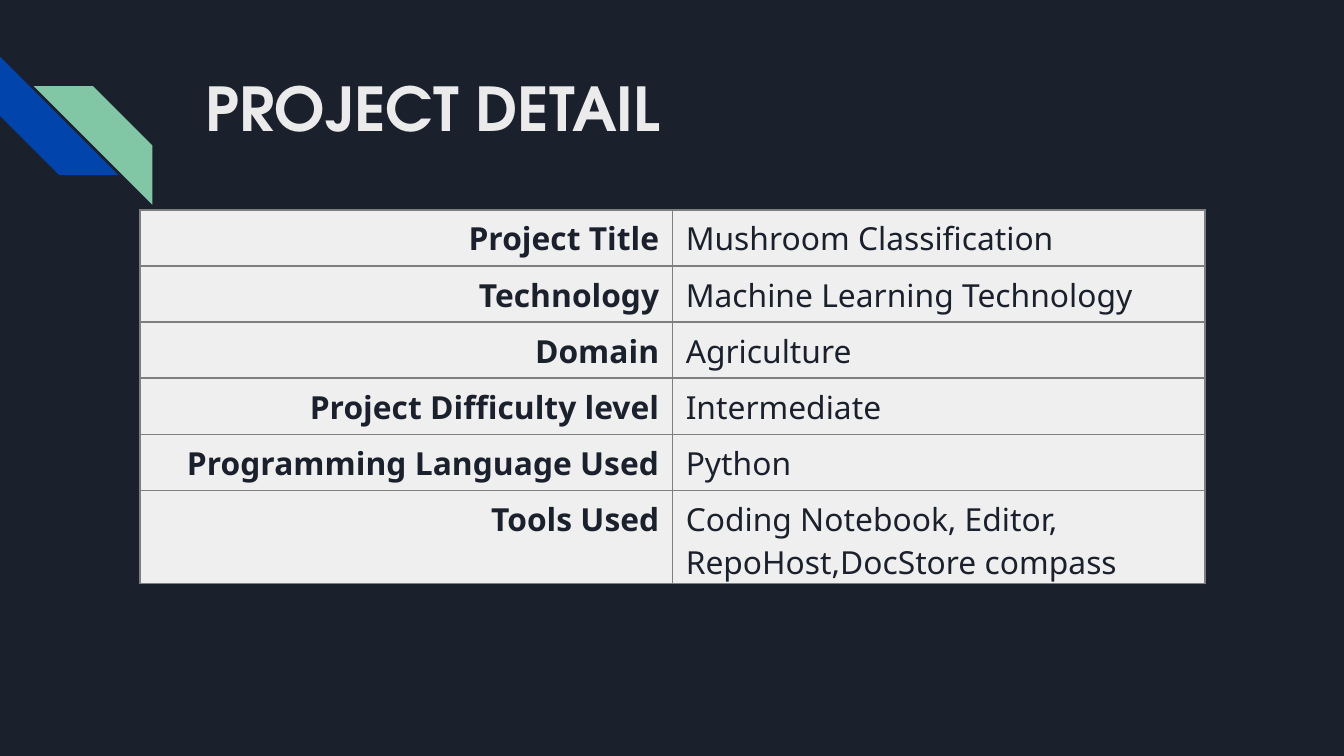
import pptx
import pptx.dml.color
import pptx.enum.shapes
import pptx.enum.text
import pptx.oxml
import pptx.oxml.ns
import pptx.util

Cm = pptx.util.Cm
Pt = pptx.util.Pt
RGBColor = pptx.dml.color.RGBColor
Align = pptx.enum.text.PP_ALIGN

NIGHT = RGBColor(0x1B, 0x21, 0x2C)
BLUE = RGBColor(0x01, 0x45, 0xAC)
GREEN = RGBColor(0x82, 0xC7, 0xA5)
TITLE_GREY = RGBColor(0xEB, 0xEB, 0xEB)
CELL_GREY = RGBColor(0xEF, 0xEF, 0xEF)
BORDER_GREY = RGBColor(0x7E, 0x7E, 0x7E)

DETAILS = [
    ("Project Title", "Mushroom Classification"),
    ("Technology", "Machine Learning Technology"),
    ("Domain", "Agriculture"),
    ("Project Difficulty level", "Intermediate"),
    ("Programming Language Used", "Python"),
    ("Tools Used", "Coding Notebook, Editor, RepoHost,DocStore compass"),
]


class PageBuilder:
    title_font = "TeX Gyre Adventor"
    body_font = "Noto Sans"
    stripe_size = Cm(2.24)
    column_width = Cm(10.06)
    row_height = Cm(1.06)
    two_line_height = Cm(1.76)
    cell_gap = Cm(0.25)

    def __init__(self, deck):
        self.page = deck.slides.add_slide(deck.slide_layouts[6])
        self.page.background.fill.solid()
        self.page.background.fill.fore_color.rgb = NIGHT

    def style_text(self, para, font, size, color, bold):
        for span in para.runs:
            span.font.name = font
            span.font.size = Pt(size)
            span.font.color.rgb = color
            span.font.bold = bold

    def stripe(self, left, top, rotation, color):
        shape = self.page.shapes.add_shape(
            pptx.enum.shapes.MSO_SHAPE.DIAGONAL_STRIPE,
            left, top, self.stripe_size, self.stripe_size)
        shape.rotation = rotation
        shape.shadow.inherit = False
        shape.fill.solid()
        shape.fill.fore_color.rgb = color
        shape.line.fill.background()

    def title(self, text, left, top, width, height):
        box = self.page.shapes.add_textbox(left, top, width, height)
        frame = box.text_frame
        frame.word_wrap = True
        frame.margin_left = frame.margin_right = Cm(0.28)
        frame.margin_top = frame.margin_bottom = Cm(0.25)
        frame.text = text
        self.style_text(frame.paragraphs[0], self.title_font, 32.4, TITLE_GREY, True)

    def cell_borders(self, cell):
        properties = cell._tc.get_or_add_tcPr()
        namespace = pptx.oxml.ns.nsdecls("a")
        for position, side in enumerate("LRTB"):
            properties.insert(position, pptx.oxml.parse_xml(
                f'<a:ln{side} {namespace} w="{Pt(1)}"><a:solidFill>'
                f'<a:srgbClr val="{BORDER_GREY}"/></a:solidFill></a:ln{side}>'))

    def fill_cell(self, cell, text, is_label):
        cell.fill.solid()
        cell.fill.fore_color.rgb = CELL_GREY
        cell.margin_left = cell.margin_right = self.cell_gap
        cell.margin_top = Cm(0.13)
        cell.margin_bottom = 0
        cell.text_frame.text = text
        para = cell.text_frame.paragraphs[0]
        para.alignment = Align.RIGHT if is_label else Align.LEFT
        self.style_text(para, self.body_font, 17, NIGHT, is_label)
        self.cell_borders(cell)

    def table(self, rows, left, top):
        table = self.page.shapes.add_table(
            len(rows), 2, left, top, 2 * self.column_width,
            len(rows) * self.row_height).table
        table.first_row = table.horz_banding = False
        for column in table.columns:
            column.width = self.column_width
        for row, texts in zip(table.rows, rows):
            row.height = self.row_height
            for index, (cell, text) in enumerate(zip(row.cells, texts)):
                self.fill_cell(cell, text, index == 0)
        table.rows[len(rows) - 1].height = self.two_line_height


def main():
    deck = pptx.Presentation()
    deck.slide_width = Cm(25.4)
    deck.slide_height = Cm(14.29)
    builder = PageBuilder(deck)
    builder.stripe(Cm(0), Cm(1.07), 270, BLUE)
    builder.stripe(Cm(0.64), Cm(1.63), 90, GREEN)
    builder.title("PROJECT DETAIL", Cm(3.61), Cm(1.09), Cm(19.56), Cm(2.54))
    builder.table(DETAILS, Cm(2.65), Cm(3.97))
    deck.save("out.pptx")


if __name__ == "__main__":
    main()
